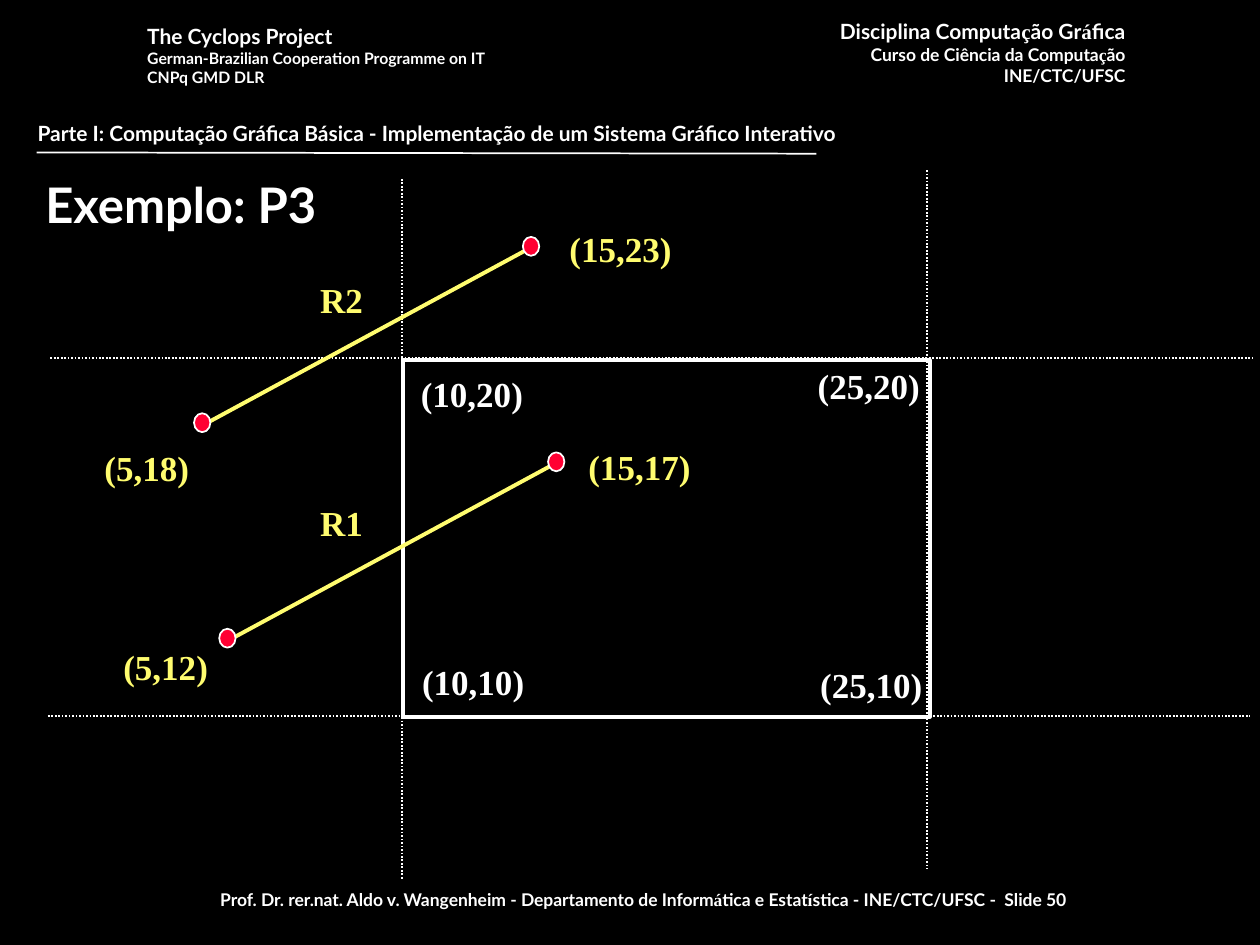
"""Build the slide on clipping example P3, on a grid of 100 columns by 75 rows."""
from dataclasses import dataclass
from typing import NamedTuple

from lxml.etree import SubElement
from pptx import Presentation
from pptx.dml.color import RGBColor as Rgb
from pptx.enum.dml import MSO_LINE as Dash
from pptx.enum.shapes import MSO_CONNECTOR as Link, MSO_SHAPE as Form
from pptx.enum.text import MSO_ANCHOR as Anchor, MSO_AUTO_SIZE as Fit, PP_ALIGN as Align
from pptx.oxml.ns import qn
from pptx.util import Inches, Pt


@dataclass(frozen=True)
class Theme:
    back: Rgb = Rgb(0, 0, 0)
    white: Rgb = Rgb(255, 255, 255)
    gold: Rgb = Rgb(0xFF, 0xFC, 0x6F)
    red: Rgb = Rgb(0xFF, 0, 0x33)
    sans: str = "Lato"
    serif: str = "Times New Roman"
    title: int = 28
    label: int = 20
    head: int = 12
    body: int = 10
    small: int = 9
    thin: float = 1
    thick: float = 2.25


class Box(NamedTuple):
    col: float
    row: float
    wide: float
    high: float


class Line(NamedTuple):
    text: str
    size: int


class Block(NamedTuple):
    box: Box
    lines: tuple[Line, ...]
    align: Align
    wrap: bool = False
    space: float = 0


class Label(NamedTuple):
    text: str
    col: float
    row: float
    color: Rgb


class Ray(NamedTuple):
    start: tuple[float, float]
    end: tuple[float, float]


look = Theme()
deck = Presentation()
deck.slide_width, deck.slide_height = Inches(10), Inches(7.5)
CELL = deck.slide_width // 100
WIDTHS = {2: 5.4, 6: 8.7, 7: 10.1}
DOT = 1.3, 1.5

BLOCKS = (
    Block(Box(63.1, 1, 27.2, 6.4), (
        Line("Disciplina Computa|ç|ão Gr|á|fica", look.head),
        Line("Curso de Ciência da Computa|ç|ão", look.body),
        Line("INE/CTC/UFSC", look.body)), Align.RIGHT),
    Block(Box(10.7, 1.4, 32.1, 6), (
        Line("The Cyclops Project", look.head),
        Line("German-Brazilian Cooperation Programme on IT", look.small),
        Line("CNPq GMD DLR", look.small)), Align.LEFT),
    Block(Box(6.9, 70.1, 88.3, 2.9), (
        Line("Prof. Dr. rer.nat. Aldo v. Wangenheim - Departamento de Inform|á|tica e Estat|í|stica"
             " - INE/CTC/UFSC -  Slide 50", look.body),), Align.CENTER, True, 6.2),
    Block(Box(2, 9.1, 95, 3), (
        Line("Parte I: Computação Gráfica Básica - Implementação de um Sistema Gráfico Interativo",
             look.head),), Align.LEFT, True),
)
GUIDES = (
    Ray((4, 28.4), (99.4, 28.4)),
    Ray((3.8, 56.8), (99.2, 56.8)),
    Ray((31.9, 14.2), (31.9, 69.8)),
    Ray((73.6, 13.5), (73.6, 69)),
)
RAYS = (Ray((16, 33.8), (42.4, 19.5)), Ray((18, 50.9), (44.4, 36.6)))
LABELS = (
    Label("(10,10)", 32.5, 51.9, look.white),
    Label("(10,20)", 32.4, 29, look.white),
    Label("(25,10)", 64.1, 52.1, look.white),
    Label("(25,20)", 63.9, 28.4, look.white),
    Label("(15,17)", 45.7, 34.8, look.gold),
    Label("(5,12)", 8.8, 50.7, look.gold),
    Label("(15,23)", 44.2, 17.5, look.gold),
    Label("(5,18)", 7.3, 34.9, look.gold),
    Label("R1", 24.4, 39.3, look.gold),
    Label("R2", 24.4, 21.6, look.gold),
)


def grid(*cells: float) -> list[int]:
    """Turn grid cells into lengths."""
    return [round(cell * CELL) for cell in cells]


def style(item: object, **values: object) -> None:
    """Set each named attribute of an item."""
    for name, value in values.items():
        setattr(item, name, value)


def write(para, text: str, size: int, color: Rgb, *fonts: str) -> None:
    """Write marked text as runs that take the fonts in turn."""
    for turn, part in enumerate(text.split("|")):
        run = para.add_run()
        run.text = part
        style(run.font, name=fonts[turn % len(fonts)], size=Pt(size), bold=True)
        run.font.color.rgb = color


def stroke(line, color: Rgb, width: float) -> None:
    """Give a line its colour and width."""
    line.color.rgb = color
    line.width = Pt(width)


def draw_ray(slide, ray: Ray, color: Rgb, width: float, dash: Dash | None = None) -> None:
    """Draw a straight line without a shadow."""
    link = slide.shapes.add_connector(Link.STRAIGHT, *grid(*ray.start, *ray.end))
    SubElement(link._element.spPr, qn("a:effectLst"))
    stroke(link.line, color, width)
    if dash:
        link.line.dash_style = dash


def draw_form(slide, form: Form, box: Box, width: float, fill: Rgb | None = None) -> None:
    """Draw a white-edged shape, hollow if no fill is given."""
    shape = slide.shapes.add_shape(form, *grid(*box))
    shape.shadow.inherit = False
    stroke(shape.line, look.white, width)
    if fill is None:
        shape.fill.background()
    else:
        shape.fill.solid()
        shape.fill.fore_color.rgb = fill


def draw_block(slide, block: Block) -> None:
    """Draw a text box of header or footer lines."""
    frame = slide.shapes.add_textbox(*grid(*block.box)).text_frame
    style(frame, word_wrap=block.wrap, auto_size=Fit.SHAPE_TO_FIT_TEXT)
    for turn, line in enumerate(block.lines):
        para = frame.add_paragraph() if turn else frame.paragraphs[0]
        style(para, alignment=block.align, space_before=Pt(block.space))
        write(para, line.text, line.size, look.white, look.sans, look.serif)


def draw_label(slide, label: Label) -> None:
    """Draw the name of a point or line."""
    box = Box(label.col, label.row, WIDTHS[len(label.text)], 4.4)
    frame = slide.shapes.add_textbox(*grid(*box)).text_frame
    style(frame, word_wrap=False, auto_size=Fit.SHAPE_TO_FIT_TEXT, vertical_anchor=Anchor.MIDDLE)
    para = frame.paragraphs[0]
    para.alignment = Align.CENTER
    write(para, label.text, look.label, label.color, look.serif)


def draw_title(slide, text: str, box: Box) -> None:
    """Place and format the title."""
    title = slide.shapes.title
    style(title, **dict(zip(("left", "top", "width", "height"), grid(*box))))
    style(title.text_frame, vertical_anchor=Anchor.MIDDLE, word_wrap=True, auto_size=Fit.NONE)
    para = title.text_frame.paragraphs[0]
    para.alignment = Align.LEFT
    write(para, text, look.title, look.white, look.sans)


def main() -> None:
    """Build and save the slide."""
    slide = deck.slides.add_slide(deck.slide_layouts[5])
    slide.background.fill.solid()
    slide.background.fill.fore_color.rgb = look.back
    for block in BLOCKS:
        draw_block(slide, block)
    draw_ray(slide, Ray((2.9, 12.1), (64.8, 12.2)), look.white, look.thin)
    draw_title(slide, "Exemplo: P3", Box(2.6, 12.9, 94, 6.5))
    draw_form(slide, Form.RECTANGLE, Box(32, 28.6, 41.8, 28.3), look.thick)
    for guide in GUIDES:
        draw_ray(slide, guide, look.white, look.thin, Dash.ROUND_DOT)
    for ray in RAYS:
        draw_ray(slide, ray, look.gold, look.thick)
        (left, low), (right, high) = ray
        for col, row in ((right - 0.9, high - 0.7), (left - 0.6, low - 1)):
            draw_form(slide, Form.OVAL, Box(col, row, *DOT), look.thin, look.red)
    for label in LABELS:
        draw_label(slide, label)
    deck.save("out.pptx")


if __name__ == "__main__":
    main()
